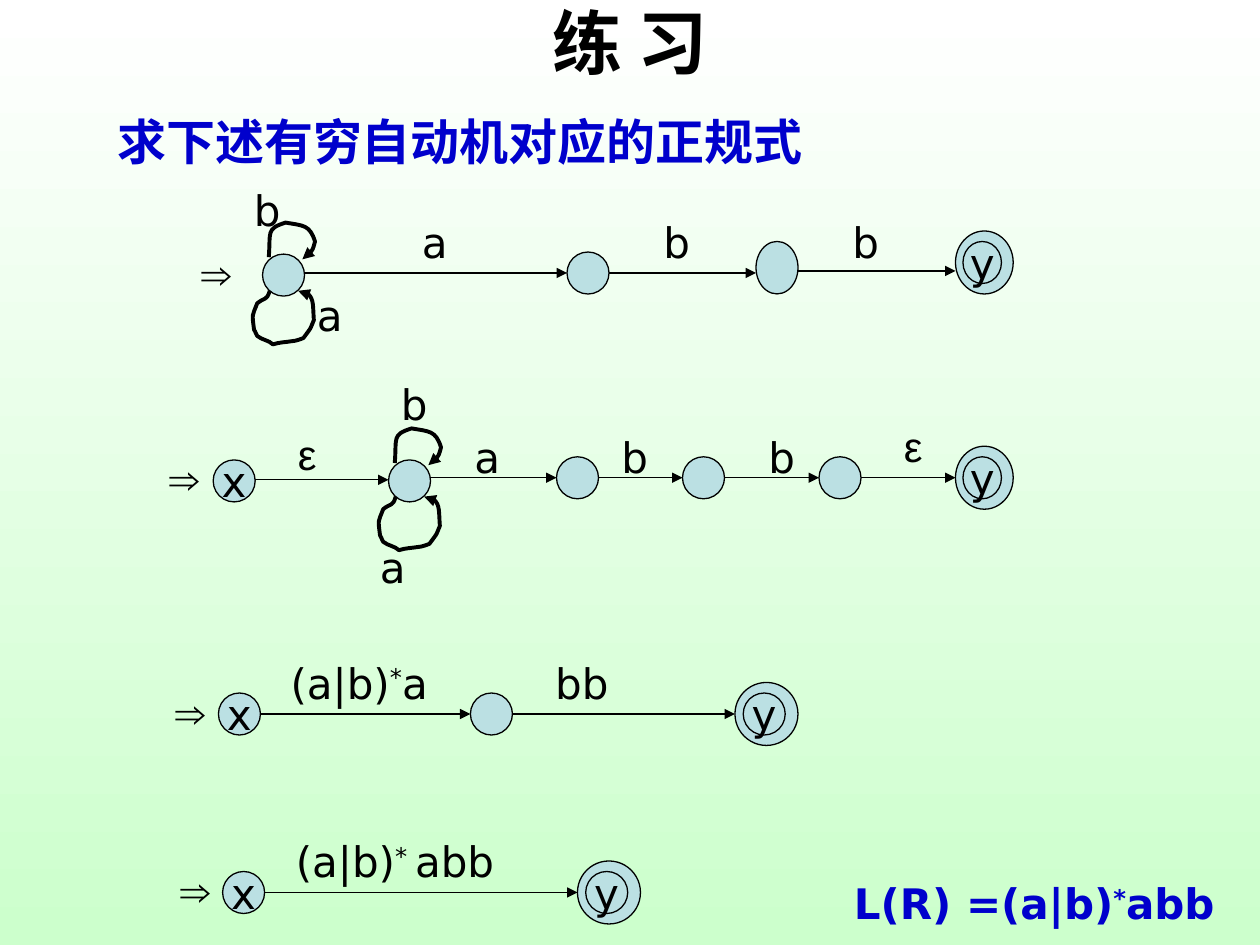
from pptx import Presentation
from pptx.dml.color import RGBColor
from pptx.enum.shapes import MSO_CONNECTOR, MSO_SHAPE
from pptx.enum.text import MSO_ANCHOR, MSO_AUTO_SIZE, PP_ALIGN
from pptx.oxml.ns import qn
from pptx.util import Pt
from lxml import etree

OVAL, STRAIGHT = MSO_SHAPE.OVAL, MSO_CONNECTOR.STRAIGHT
LEFT, CENTER = PP_ALIGN.LEFT, PP_ALIGN.CENTER
MIDDLE = MSO_ANCHOR.MIDDLE

BLACK = RGBColor(0x00, 0x00, 0x00)
BLUE = RGBColor(0x00, 0x00, 0xCC)
WHITE = RGBColor(0xFF, 0xFF, 0xFF)
MINT = RGBColor(0xCC, 0xFF, 0xCC)
STATE_FILL = RGBColor(0xBB, 0xE0, 0xE3)

SANS, ARIAL = "DejaVu Sans", "Arial"
PX = 7620  # 120 px to the inch

# Bezier points of the self-loops, relative to the state's top left corner
UPPER_LOOP = [(6, 3), (8, -21), (3, -24), (22, -30), (39, -27), (45, -28), (50, -12),
              (48, -4), (45, 2), (38, 5)]
LOWER_LOOP = [(7, 35), (4, 45), (2, 41), (-5, 47), (-10, 60), (-10, 56), (-8, 72),
              (-6, 75), (-6, 77), (-5, 78), (0, 82), (6, 82), (10, 86),
              (16, 84), (22, 84), (28, 83), (32, 83), (39, 80), (39, 80),
              (48, 68), (45, 72), (49, 63), (48, 50), (50, 35), (34, 35)]

# Positions are relative to the start marker of each automaton.
# states: x, y, w, h, name; edges: y, label, label x, label y, label width
AUTOMATA = [
    dict(origin=(180, 230),
         states=[(70, 12, 40, 40, ""), (360, 10, 40, 40, ""),
                 (540, 0, 40, 50, ""), (730, -10, 55, 60, "y")],
         edges=[(30, "a", 210, -30, 60), (30, "b", 440, -30, 60), (28, "b", 620, -30, 60)],
         loops=(0, (50, -60), (110, 40))),
    dict(origin=(150, 425),
         states=[(53, 13, 40, 40, "x"), (220, 13, 40, 40, ""), (380, 10, 40, 40, ""),
                 (500, 10, 40, 40, ""), (630, 10, 40, 40, ""), (760, 0, 55, 60, "y")],
         edges=[(32, "ε", 122, -23, 60), (30, "a", 290, -20, 60), (30, "b", 430, -20, 60),
                (30, "b", 570, -20, 60), (30, "ε", 699, -30, 60)],
         loops=(1, (220, -70), (200, 85))),
    dict(origin=(155, 648),
         states=[(53, 12, 40, 40, "x"), (293, 12, 40, 40, ""), (545, 2, 60, 60, "y")],
         edges=[(32, "(a|b)^*^a", 110, -28, 170), (32, "bb", 362, -28, 170)]),
    dict(origin=(160, 817),
         states=[(52, 13, 40, 40, "x"), (390, 3, 60, 60, "y")],
         edges=[(33, "(a|b)^* ^abb", 110, -27, 250)]),
]


def emu(*lengths):
    return [round(n * PX) for n in lengths]


def style(r, size, color=BLACK, font=SANS, bold=False):
    r.font.size, r.font.name, r.font.bold = Pt(size), font, bold
    r.font.color.rgb = color


def add_text(shapes, box, text, size=24, color=BLACK, font=SANS, bold=False, align=LEFT):
    """Add a text box; a part between two ^ is raised."""
    tf = shapes.add_textbox(*emu(*box)).text_frame
    tf.word_wrap = True
    p = tf.paragraphs[0]
    p.alignment = align
    for i, part in enumerate(text.split("^")):
        r = p.add_run()
        r.text = part
        style(r, size, color, font, bold)
        if i % 2:
            r.font._element.set("baseline", "30000")


def add_arrowhead(shape):
    ln = shape.line._get_or_add_ln()
    etree.SubElement(ln, qn("a:tailEnd"), type="triangle")


def add_oval(shapes, box, name=""):
    sp = shapes.add_shape(OVAL, *emu(*box))
    sp.shadow.inherit = False
    sp.fill.solid()
    sp.fill.fore_color.rgb = STATE_FILL
    sp.line.color.rgb, sp.line.width = BLACK, Pt(0.75)
    if name:
        tf = sp.text_frame
        tf.word_wrap, tf.vertical_anchor = False, MIDDLE
        p = tf.paragraphs[0]
        p.text, p.alignment = name, CENTER
        style(p.runs[0], 24)


def add_state(shapes, box, name):
    """Draw a state; the accepting state y gets a second ring."""
    x, y, w, h = box
    if name == "y":
        add_oval(shapes, box)
        box = (x + w * 0.13, y + h / 6, w * 2 / 3, h * 2 / 3)
    add_oval(shapes, box, name)


def add_edge(shapes, x1, x2, y):
    line = shapes.add_connector(STRAIGHT, *emu(x1, y, x2, y))
    line.line.color.rgb, line.line.width = BLACK, Pt(0.75)
    add_arrowhead(line)
    etree.SubElement(line._element.spPr, qn("a:effectLst"))


def bend(sp):
    """Turn each three line segments of a freeform into one cubic curve."""
    segments = list(sp._element.iter(qn("a:lnTo")))
    for i in range(0, len(segments), 3):
        outline = segments[i].getparent()
        curve = etree.SubElement(outline, qn("a:cubicBezTo"))
        for segment in segments[i:i + 3]:
            curve.append(segment[0])
            outline.remove(segment)


def add_loop(shapes, x, y, points):
    corners = [emu(x + dx, y + dy) for dx, dy in points]
    builder = shapes.build_freeform(*corners[0])
    builder.add_line_segments(corners[1:], close=False)
    sp = builder.convert_to_shape()
    bend(sp)
    sp.shadow.inherit = False
    sp.fill.background()
    sp.line.color.rgb, sp.line.width = BLACK, Pt(2.25)
    add_arrowhead(sp)


def add_automaton(s, origin, states, edges, loops=None):
    shapes = s.shapes.add_group_shape().shapes
    ox, oy = origin
    add_text(shapes, (ox, oy, 70, 60), "⇒", font=ARIAL)
    for x, y, w, h, name in states:
        add_state(shapes, (ox + x, oy + y, w, h), name)
    for start, end, (y, label, lx, ly, lw) in zip(states, states[1:], edges):
        add_edge(shapes, ox + start[0] + start[2], ox + end[0], oy + y)
        font = ARIAL if label == "ε" else SANS
        add_text(shapes, (ox + lx, oy + ly, lw, 60), label, font=font)
    if loops:
        index, *label_places = loops
        x, y = states[index][:2]
        for points, label, (lx, ly) in zip((UPPER_LOOP, LOWER_LOOP), "ba", label_places):
            add_loop(shapes, ox + x, oy + y, points)
            add_text(shapes, (ox + lx, oy + ly, 60, 60), label)


def add_title(s, box, text):
    title = s.shapes.title
    title.left, title.top, title.width, title.height = emu(*box)
    tf = title.text_frame
    tf.text = text
    tf.auto_size, tf.vertical_anchor = MSO_AUTO_SIZE.NONE, MIDDLE
    p = tf.paragraphs[0]
    p.alignment = CENTER
    style(p.runs[0], 40, font=ARIAL, bold=True)


def set_background(s):
    fill = s.background.fill
    fill.gradient()
    fill.gradient_angle = 270
    for stop, color in zip(fill.gradient_stops, (WHITE, MINT)):
        stop.color.rgb = color


def main():
    prs = Presentation()
    prs.slide_width, prs.slide_height = emu(1200, 900)
    s = prs.slides.add_slide(prs.slide_layouts[5])
    set_background(s)
    add_title(s, (60, 0, 1080, 80), "练 习")
    add_text(s.shapes, (100, 100, 850, 80), "求下述有穷自动机对应的正规式",
             28, BLUE, ARIAL, bold=True)
    add_text(s.shapes, (780, 830, 410, 60), "L(R) =(a|b)^*^abb",
             color=BLUE, bold=True, align=CENTER)
    for automaton in AUTOMATA:
        add_automaton(s, **automaton)
    prs.save("out.pptx")


if __name__ == "__main__":
    main()
